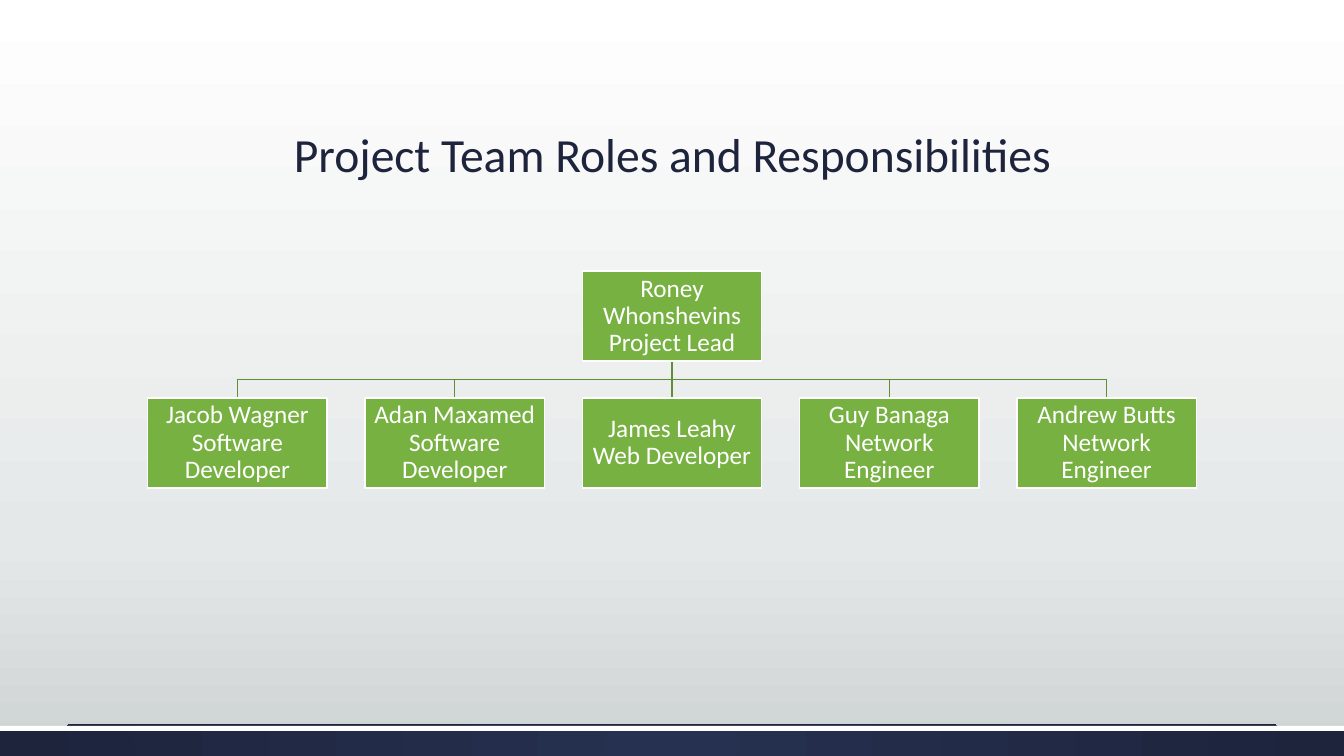
from dataclasses import dataclass

from lxml.etree import SubElement
from pptx import Presentation
from pptx.dml.color import RGBColor
from pptx.enum.shapes import MSO_CONNECTOR, MSO_SHAPE
from pptx.enum.text import MSO_ANCHOR, PP_ALIGN
from pptx.oxml.ns import qn
from pptx.util import Inches, Pt

FONT = "Calibri"
NAVY, GREEN, DARK_GREEN, WHITE = "1D243C", "77B142", "5F8E35", "FFFFFF"
SLIDE_WIDTH, SLIDE_HEIGHT = 13.33, 7.5
BOX_WIDTH, BOX_HEIGHT = 1.78, 0.89
CENTER = SLIDE_WIDTH / 2
LEAD_TOP, TEAM_TOP = 2.69, 3.95
COLUMN_STEP = 2.155
FOOTER_TOP = 7.2


@dataclass
class Member:
    name: str
    role: str


LEAD = Member("Roney Whonshevins", "Project Lead")
TEAM = [
    Member("Jacob Wagner", "Software Developer"),
    Member("Adan Maxamed", "Software Developer"),
    Member("James Leahy", "Web Developer"),
    Member("Guy Banaga", "Network Engineer"),
    Member("Andrew Butts", "Network Engineer"),
]


def color(value: str) -> RGBColor:
    return RGBColor.from_string(value)


def set_gradient(fill, element, stops: list[tuple[int, str]], radial: bool = False) -> None:
    fill.gradient()
    gradient = element.find(".//" + qn("a:gradFill"))
    gradient.clear()
    stop_list = SubElement(gradient, qn("a:gsLst"))
    for percent, value in stops:
        stop = SubElement(stop_list, qn("a:gs"), pos=str(percent * 1000))
        SubElement(stop, qn("a:srgbClr"), val=value)
    if radial:
        circle = SubElement(gradient, qn("a:path"), path="circle")
        SubElement(circle, qn("a:fillToRect"), l="50000", t="50000", r="50000", b="50000")
    else:
        SubElement(gradient, qn("a:lin"), ang="5400000", scaled="0")


def add_rectangle(slide, left: float, top: float, width: float, height: float, fill: str):
    shape = slide.shapes.add_shape(
        MSO_SHAPE.RECTANGLE, Inches(left), Inches(top), Inches(width), Inches(height)
    )
    shape.shadow.inherit = False
    shape.fill.solid()
    shape.fill.fore_color.rgb = color(fill)
    shape.line.fill.background()
    return shape


def format_text(text_frame, size: int, font_color: str) -> None:
    text_frame.word_wrap = True
    for paragraph in text_frame.paragraphs:
        paragraph.alignment = PP_ALIGN.CENTER
        paragraph.line_spacing = 0.9
        for run in paragraph.runs:
            run.font.name = FONT
            run.font.size = Pt(size)
            run.font.color.rgb = color(font_color)


def set_line(shape, value: str, width: float) -> None:
    shape.line.color.rgb = color(value)
    shape.line.width = Pt(width)


def add_member(slide, member: Member, center: float, top: float) -> None:
    shape = add_rectangle(slide, center - BOX_WIDTH / 2, top, BOX_WIDTH, BOX_HEIGHT, GREEN)
    set_line(shape, WHITE, 1)
    text_frame = shape.text_frame
    text_frame.margin_left = text_frame.margin_right = Inches(0.01)
    text_frame.margin_top = text_frame.margin_bottom = Inches(0.01)
    text_frame.vertical_anchor = MSO_ANCHOR.MIDDLE
    text_frame.text = f"{member.name}\v{member.role}"
    format_text(text_frame, 18, WHITE)


def add_straight_line(
    slide, start: tuple[float, float], end: tuple[float, float], value: str, width: float
) -> None:
    connector = slide.shapes.add_connector(
        MSO_CONNECTOR.STRAIGHT, *(Inches(number) for number in (*start, *end))
    )
    set_line(connector, value, width)
    SubElement(connector.element.spPr, qn("a:effectLst"))


def add_branch(slide, center: float) -> None:
    lead_bottom = LEAD_TOP + BOX_HEIGHT
    middle = (lead_bottom + TEAM_TOP) / 2
    if center == CENTER:
        add_straight_line(slide, (CENTER, lead_bottom), (CENTER, TEAM_TOP), DARK_GREEN, 1)
        return
    builder = slide.shapes.build_freeform(Inches(CENTER), Inches(lead_bottom))
    corners = [(CENTER, middle), (center, middle), (center, TEAM_TOP)]
    builder.add_line_segments([(Inches(x), Inches(y)) for x, y in corners], close=False)
    branch = builder.convert_to_shape()
    branch.shadow.inherit = False
    branch.fill.background()
    set_line(branch, DARK_GREEN, 1)


def add_title(slide, text: str) -> None:
    title = slide.shapes.title
    title.left, title.top = Inches(1.47), Inches(0.51)
    title.width, title.height = Inches(10.4), Inches(1.35)
    title.text_frame.text = text
    title.text_frame.vertical_anchor = MSO_ANCHOR.BOTTOM
    format_text(title.text_frame, 34, NAVY)


def add_footer(slide) -> None:
    band = add_rectangle(slide, 0, FOOTER_TOP, SLIDE_WIDTH, SLIDE_HEIGHT - FOOTER_TOP, NAVY)
    set_gradient(band.fill, band.element, [(0, "263050"), (100, NAVY)], radial=True)
    add_rectangle(slide, 0, FOOTER_TOP, SLIDE_WIDTH, 0.05, WHITE)
    add_straight_line(slide, (0.67, 7.19), (SLIDE_WIDTH - 0.67, 7.19), NAVY, 0.5)


def main() -> None:
    presentation = Presentation()
    presentation.slide_width = Inches(SLIDE_WIDTH)
    presentation.slide_height = Inches(SLIDE_HEIGHT)
    slide = presentation.slides.add_slide(presentation.slide_layouts[5])
    set_gradient(
        slide.background.fill, slide.element, [(0, WHITE), (72, "E5E8E8"), (100, "CDD2D2")]
    )
    add_footer(slide)
    add_title(slide, "Project Team Roles and Responsibilities")
    middle_index = len(TEAM) // 2
    centers = [CENTER + (index - middle_index) * COLUMN_STEP for index in range(len(TEAM))]
    for center in centers:
        add_branch(slide, center)
    add_member(slide, LEAD, CENTER, LEAD_TOP)
    for member, center in zip(TEAM, centers):
        add_member(slide, member, center, TEAM_TOP)
    presentation.save("out.pptx")


main()
